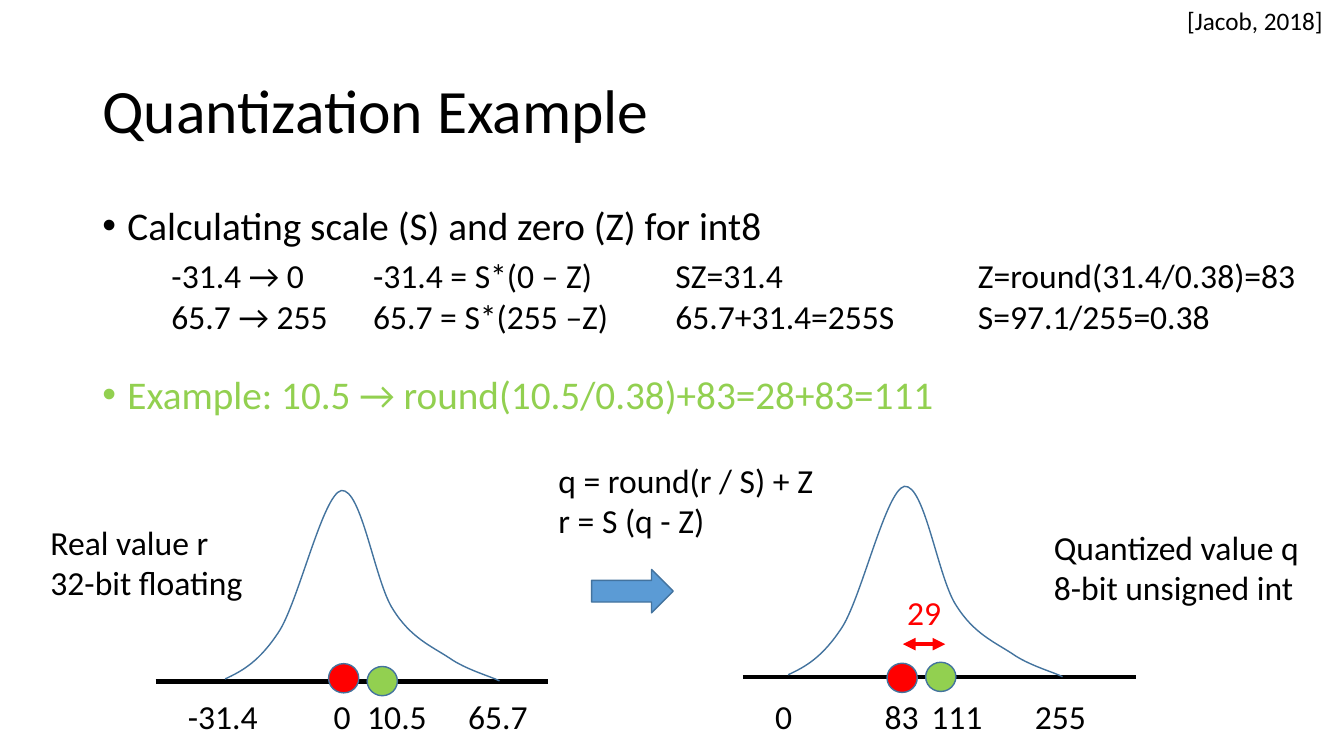
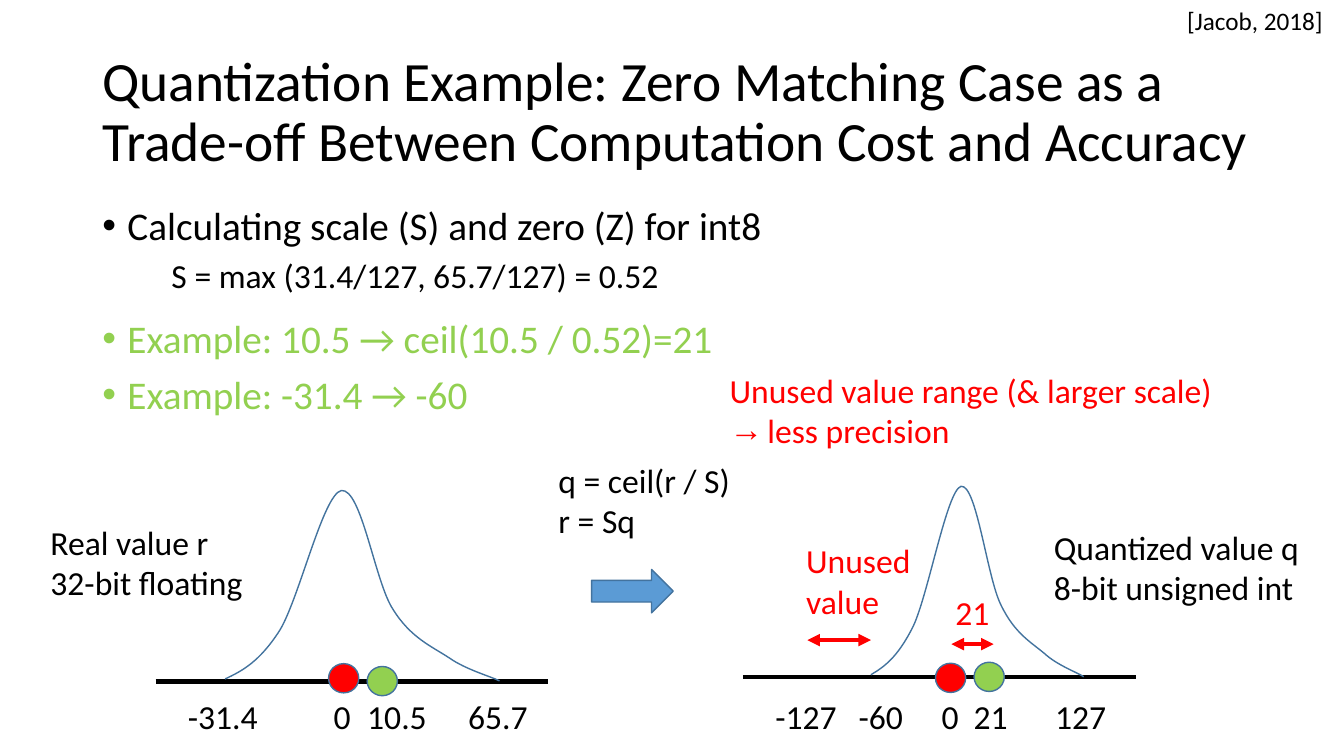
import dataclasses
import lxml.etree
import pptx
import pptx.dml.color
import pptx.enum.shapes
import pptx.enum.text
import pptx.oxml.ns
import pptx.util

Pt = pptx.util.Pt
qn = pptx.oxml.ns.qn
ALIGN = pptx.enum.text.PP_ALIGN
SHAPE = pptx.enum.shapes.MSO_SHAPE


def rgb(value):
    """Return a colour from its hex digits."""
    return pptx.dml.color.RGBColor.from_string(value)


@dataclasses.dataclass(frozen=True)
class Theme:
    """Colours, fonts and type sizes shared by the slides."""
    font: str = "Calibri"
    bullet_font: str = "Arial"
    ink: str = "000000"
    red: str = "FF0000"
    green: str = "92D050"
    blue: str = "5B9BD5"
    outline: str = "43739E"
    title: float = 44
    long_title: float = 39.6
    body: float = 28
    label: float = 24
    cite: float = 18


@dataclasses.dataclass(frozen=True)
class Box:
    """A region of the slide in points."""
    x: float
    y: float
    w: float
    h: float


@dataclasses.dataclass(frozen=True)
class Axis:
    """Value labels with their centres, the zero dot and the curve extent."""
    labels: tuple
    zero_x: float
    curve_x: float
    curve_w: float


T = Theme()
TITLE = Box(66, 28.8, 871, 104.4)
BODY = Box(66, 144, 828, 342)
DETAIL = Box(115.4, 178.8, 840, 66)
FORMULA = Box(391.8, 324.7, 210, 66)
REAL = Box(111.2, 350.4, 280.5, 179.4)
QUANT = Box(530.6, 347.4, 280.8, 182.4)
AXIS_DY = 136.4
DOT_W, DOT_H, DOT_GAP = 21.6, 20.9, 27.6
CURVE_W = 196
CURVE_START = (0, 134.6)
CURVE = (
    ((12, 129), (24.5, 122.5), (39, 100)),
    ((53, 77), (70, 3), (83, 0)),
    ((97.5, -2), (107, 65.5), (120, 85)),
    ((132.5, 105), (147, 111), (160, 119.5)),
    ((172, 128), (190.5, 133), (196, 136)),
)
REAL_AXIS = Axis((("-31.4", 47.9), ("0", 133.2), ("10.5", 172.4), ("65.7", 244.4)),
                 123.5, 49.6, 196)


def add_run(p, text, size, color=T.ink):
    """Add one formatted run to a paragraph."""
    r = p.add_run()
    r.text = text
    r.font.name, r.font.size = T.font, Pt(size)
    r.font.color.rgb = rgb(color)


def add_bullet(p, char, indent):
    """Give a paragraph a hanging bullet."""
    pPr = p._p.get_or_add_pPr()
    pPr.set("marL", str(Pt(indent)))
    pPr.set("indent", str(-Pt(indent)))
    lxml.etree.SubElement(pPr, qn("a:buFont")).set("typeface", T.bullet_font)
    lxml.etree.SubElement(pPr, qn("a:buChar")).set("char", char)


def add_tabs(p, stops):
    """Set left tab stops on a paragraph."""
    tabs = lxml.etree.SubElement(p._p.get_or_add_pPr(), qn("a:tabLst"))
    for stop in stops:
        tab = lxml.etree.SubElement(tabs, qn("a:tab"))
        tab.set("pos", str(Pt(stop)))
        tab.set("algn", "l")


def add_text(s, box, lines, color=T.ink, size=T.label, align=ALIGN.LEFT):
    """Add a text box with one paragraph a line and return its paragraphs."""
    tf = s.shapes.add_textbox(Pt(box.x), Pt(box.y), Pt(box.w), Pt(box.h)).text_frame
    tf.word_wrap = True
    for i, line in enumerate(lines):
        p = tf.add_paragraph() if i else tf.paragraphs[0]
        p.alignment = align
        add_run(p, line, size, color)
    return tf.paragraphs


def add_centred(s, x, y, text, color=T.ink):
    """Add a short label centred on x."""
    add_text(s, Box(x - 36, y, 72, 36), [text], color, align=ALIGN.CENTER)


def add_preset(s, kind, box, fill):
    """Add an outlined preset shape."""
    sp = s.shapes.add_shape(kind, Pt(box.x), Pt(box.y), Pt(box.w), Pt(box.h))
    sp.shadow.inherit = False
    sp.fill.solid()
    sp.fill.fore_color.rgb = rgb(fill)
    sp.line.color.rgb, sp.line.width = rgb(T.outline), Pt(1)


def add_line(s, x1, x2, y, color=T.ink, arrows=False):
    """Add a horizontal line, with arrowheads at both ends if asked."""
    line = s.shapes.add_connector(pptx.enum.shapes.MSO_CONNECTOR.STRAIGHT,
                                  Pt(x1), Pt(y), Pt(x2), Pt(y))
    line.line.color.rgb, line.line.width = rgb(color), Pt(3)
    spPr = line._element.spPr
    if arrows:
        for end in ("a:headEnd", "a:tailEnd"):
            lxml.etree.SubElement(spPr.find(qn("a:ln")), qn(end)).set("type", "triangle")
    lxml.etree.SubElement(spPr, qn("a:effectLst"))


def add_curve(s, x, y, width):
    """Draw the bell curve with its peak at y."""
    ratio = width / CURVE_W
    nodes = [CURVE_START] + [segment[-1] for segment in CURVE]
    nodes = [(Pt(x + px * ratio), Pt(y + py)) for px, py in nodes]
    builder = s.shapes.build_freeform(*nodes[0], scale=1.0)
    builder.add_line_segments(nodes[1:], close=False)
    sp = builder.convert_to_shape()
    for line, segment in zip(list(sp._element.iter(qn("a:lnTo"))), CURVE):
        cubic = lxml.etree.Element(qn("a:cubicBezTo"))
        for px, py in segment:
            pt = lxml.etree.SubElement(cubic, qn("a:pt"))
            pt.set("x", str(Pt(px * ratio)))
            pt.set("y", str(Pt(py)))
        line.getparent().replace(line, cubic)
    sp.shadow.inherit = False
    sp.fill.background()
    sp.line.color.rgb, sp.line.width = rgb(T.outline), Pt(1)


def add_distribution(s, box, axis, dot_shifts):
    """Draw a number line with its curve, dots and value labels."""
    axis_y = box.y + AXIS_DY
    add_line(s, box.x, box.x + box.w, axis_y)
    for i, (shift, color) in enumerate(zip(dot_shifts, (T.red, T.green))):
        add_preset(s, SHAPE.OVAL, Box(box.x + axis.zero_x + i * DOT_GAP,
                                      axis_y + shift - DOT_H / 2, DOT_W, DOT_H), color)
    for text, x in axis.labels:
        add_centred(s, box.x + x, box.y + box.h - 36, text)
    add_curve(s, box.x + axis.curve_x, box.y, axis.curve_w)


def add_span(s, box, axis, text):
    """Mark the distance between the two dots."""
    mid = box.x + axis.zero_x + 26.5
    add_line(s, mid - 15.1, mid + 15.1, box.y + 112.7, T.red, arrows=True)
    add_centred(s, mid, box.y + 72, text, T.red)


def add_title(s, box, text, size):
    """Place and format the title placeholder."""
    sp = s.shapes.title
    sp.left, sp.top, sp.width, sp.height = Pt(box.x), Pt(box.y), Pt(box.w), Pt(box.h)
    tf = sp.text_frame
    tf.auto_size = pptx.enum.text.MSO_AUTO_SIZE.NONE
    tf.vertical_anchor = pptx.enum.text.MSO_ANCHOR.MIDDLE
    p = tf.paragraphs[0]
    p.alignment, p.line_spacing = ALIGN.LEFT, 0.9
    add_run(p, text, size)


def add_body(s, box, examples):
    """Add the bulleted list; examples are pairs of text and space before."""
    tf = s.shapes.add_textbox(Pt(box.x), Pt(box.y), Pt(box.w), Pt(box.h)).text_frame
    tf.word_wrap = True
    items = [("Calculating scale (S) and zero (Z) for int8", 0, T.ink)]
    items += [(text, gap, T.green) for text, gap in examples]
    for i, (text, gap, color) in enumerate(items):
        p = tf.add_paragraph() if i else tf.paragraphs[0]
        add_bullet(p, "•", 18)
        p.line_spacing, p.space_before = 0.9, Pt(gap)
        add_run(p, text, T.body, color)


def example_slide(prs, title, title_size, examples, details, formulas, axis, span):
    """Build one example slide and return it."""
    s = prs.slides.add_slide(prs.slide_layouts[5])
    add_title(s, TITLE, title, title_size)
    add_body(s, BODY, examples)
    for p in add_text(s, DETAIL, details):
        add_tabs(p, (144, 360, 576))
    add_text(s, FORMULA, formulas)
    add_preset(s, SHAPE.RIGHT_ARROW, Box(422.6, 406.8, 58.3, 31), T.blue)
    add_distribution(s, REAL, REAL_AXIS, (-2.3, -0.3))
    add_distribution(s, QUANT, axis, (0.4, -0.3))
    add_span(s, QUANT, axis, span)
    add_text(s, Box(29, 369.1, 180, 66), ["Real value r", "32-bit floating"])
    add_text(s, Box(745.7, 372.7, 210, 66), ["Quantized value q", "8-bit unsigned int"])
    add_text(s, Box(811.8, 0, 140, 29), ["[Jacob, 2018]"], size=T.cite, align=ALIGN.RIGHT)
    return s


def add_unused(s, box):
    """Mark the unused range and its consequence."""
    add_line(s, box.x + 46.1, box.x + 91.5, box.y + 109.8, T.red, arrows=True)
    add_text(s, Box(box.x + 38.2, box.y + 34.9, 100, 66), ["Unused", "value"], T.red)
    lines = add_text(s, Box(box.x - 16.5, box.y - 86.8, 390, 66),
                     ["Unused value range (& larger scale)", "less precision"], T.red)
    add_bullet(lines[1], "→", 27)


def main():
    """Build and save the slides."""
    prs = pptx.Presentation()
    prs.slide_width, prs.slide_height = Pt(960), Pt(540)
    example_slide(
        prs, "Quantization Example", T.title,
        [("Example: 10.5 → round(10.5/0.38)+83=28+83=111", 90.4)],
        ["-31.4 → 0\t-31.4 = S*(0 – Z)\tSZ=31.4\tZ=round(31.4/0.38)=83",
         "65.7 → 255\t65.7 = S*(255 –Z)\t65.7+31.4=255S\tS=97.1/255=0.38"],
        ["q = round(r / S) + Z", "r = S (q - Z)"],
        Axis((("0", 29.2), ("83", 113.5), ("111", 153), ("255", 226.8)), 103, 32.4, 196),
        "29")
    s = example_slide(
        prs, "Quantization Example: Zero Matching Case as a Trade-off Between "
        "Computation Cost and Accuracy", T.long_title,
        [("Example: 10.5 → ceil(10.5 / 0.52)=21", 50.2), ("Example: -31.4 → -60", 10)],
        ["S = max (31.4/127, 65.7/127) = 0.52"],
        ["q = ceil(r / S)", "r = Sq"],
        Axis((("-127", 45.2), ("-60", 98.6), ("0", 148), ("21", 177), ("127", 241.4)),
             137.6, 91.5, 152),
        "21")
    add_unused(s, QUANT)
    prs.save("out.pptx")


if __name__ == "__main__":
    main()
